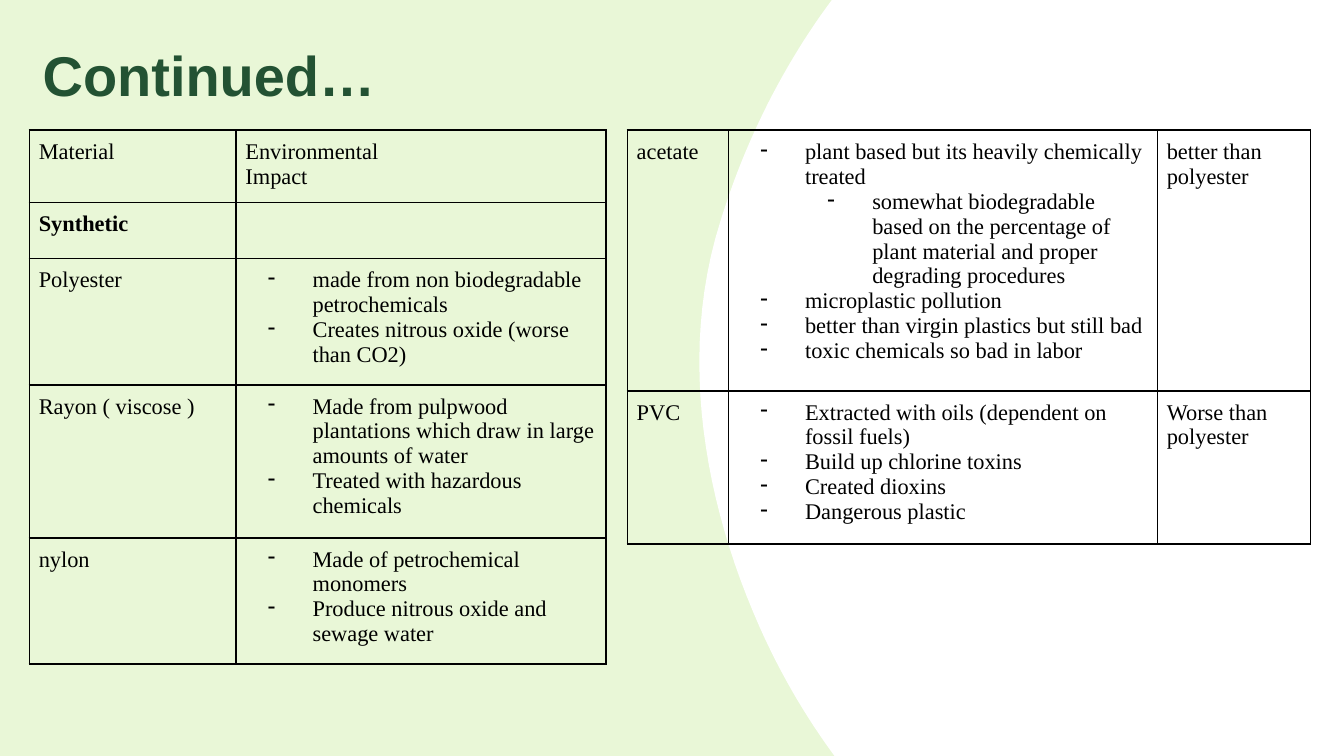
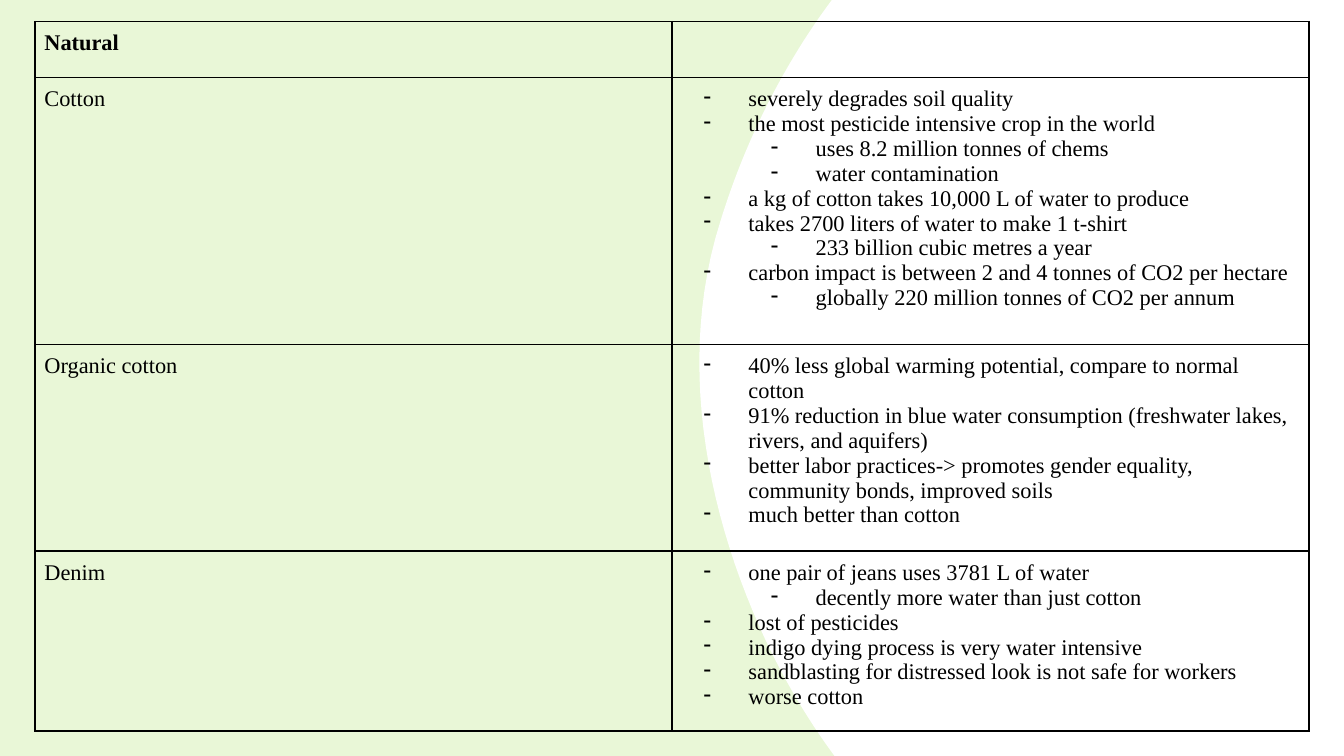
from dataclasses import dataclass

import lxml.etree
import pptx
import pptx.dml.color
import pptx.enum.shapes
import pptx.enum.text
import pptx.oxml.ns
import pptx.util

Pt = pptx.util.Pt
COLOURS = {"page": "E9F7D7", "panel": "FFFFFF", "title": "235233", "ink": "000000"}
TITLE_FONT = "Arial"
TABLE_FONT = "Times New Roman"
PAGE_WIDTH, PAGE_HEIGHT = 720, 405
CELL_INSET = 5
LINE_HEIGHT = 13.3
PANEL_START = (447.1, 405)
PANEL_CURVES = [
    ((432, 384.5), (418.3, 361.4), (406.8, 335.5)),
    ((378, 270.7), (362.9, 191.5), (385.9, 118.8)),
    ((399.6, 74.2), (420.5, 33.8), (445.7, 0)),
]
CURVE_STEPS = 24


@dataclass
class Item:
    text: str
    level: int = 0


@dataclass
class Row:
    lines: float
    cells: list[str | list[Item]]
    bold: bool = False


@dataclass
class Grid:
    left: float
    top: float
    widths: list[float]
    rows: list[Row]


SYNTHETIC = Grid(15.8, 69.8, [110.7, 198.2], [
    Row(2, ["Material", "Environmental\nImpact"]),
    Row(1.5, ["Synthetic", ""], bold=True),
    Row(4, ["Polyester", [
        Item("made from non biodegradable petrochemicals"),
        Item("Creates nitrous oxide (worse than CO2)"),
    ]]),
    Row(5, ["Rayon ( viscose )", [
        Item("Made from pulpwood plantations which draw in large amounts of water"),
        Item("Treated with hazardous chemicals"),
    ]]),
    Row(4, ["nylon", [
        Item("Made of petrochemical monomers"),
        Item("Produce nitrous oxide and sewage water"),
    ]]),
])

PLASTICS = Grid(336.1, 69.8, [54.2, 229.8, 82], [
    Row(9, ["acetate", [
        Item("plant based but its heavily chemically treated"),
        Item("somewhat biodegradable based on the percentage of plant material "
             "and proper degrading procedures", 1),
        Item("microplastic pollution"),
        Item("better than virgin plastics but still bad"),
        Item("toxic chemicals so bad in labor"),
    ], "better than polyester"]),
    Row(5, ["PVC", [
        Item("Extracted with oils (dependent on fossil fuels)"),
        Item("Build up chlorine toxins"),
        Item("Created dioxins"),
        Item("Dangerous plastic"),
    ], "Worse than polyester"]),
])

NATURAL = Grid(18.8, 11.6, [341.2, 341.2], [
    Row(1.5, ["Natural", ""], bold=True),
    Row(10, ["Cotton", [
        Item("severely degrades soil quality"),
        Item("the most pesticide intensive crop in the world"),
        Item("uses 8.2 million tonnes of chems", 1),
        Item("water contamination", 1),
        Item("a kg of cotton takes 10,000 L of water to produce"),
        Item("takes 2700 liters of water to make 1 t-shirt"),
        Item("233 billion cubic metres a year", 1),
        Item("carbon impact is between 2 and 4 tonnes of CO2 per hectare"),
        Item("globally 220 million tonnes of CO2 per annum", 1),
    ]]),
    Row(7, ["Organic cotton", [
        Item("40% less global warming potential, compare to normal cotton"),
        Item("91% reduction in blue water consumption (freshwater lakes, "
             "rivers, and aquifers)"),
        Item("better labor practices-> promotes gender equality, "
             "community bonds, improved soils"),
        Item("much better than cotton"),
    ]]),
    Row(6, ["Denim", [
        Item("one pair of jeans uses 3781 L of water"),
        Item("decently more water than just cotton", 1),
        Item("lost of pesticides"),
        Item("indigo dying process is very water intensive"),
        Item("sandblasting for distressed look is not safe for workers"),
        Item("worse cotton"),
    ]]),
])


def colour(name: str) -> pptx.dml.color.RGBColor:
    return pptx.dml.color.RGBColor.from_string(COLOURS[name])


def add_element(parent, tag: str, **attributes: str):
    return lxml.etree.SubElement(parent, pptx.oxml.ns.qn(tag), attributes)


def style_paragraph(para, font: str, size: float, ink: str, bold: bool) -> None:
    para.font.name = font
    para.font.size = Pt(size)
    para.font.bold = bold
    para.font.color.rgb = colour(ink)


def add_dash(para, level: int) -> None:
    para.level = level
    properties = para._p.get_or_add_pPr()
    properties.set("marL", str(Pt(36 * (level + 1))))
    properties.set("indent", str(Pt(-24)))
    dash_colour = add_element(properties, "a:buClr")
    add_element(dash_colour, "a:srgbClr", val=COLOURS["ink"])
    add_element(properties, "a:buChar", char="-")


def add_borders(cell) -> None:
    properties = cell._tc.get_or_add_tcPr()
    for side in ("a:lnL", "a:lnR", "a:lnT", "a:lnB"):
        line = add_element(properties, side, w=str(Pt(1)))
        fill = add_element(line, "a:solidFill")
        add_element(fill, "a:srgbClr", val=COLOURS["ink"])


def fill_cell(cell, content: str | list[Item], bold: bool) -> None:
    add_borders(cell)
    cell.fill.background()
    cell.margin_left = cell.margin_right = Pt(CELL_INSET)
    cell.margin_top = cell.margin_bottom = Pt(CELL_INSET)
    bulleted = isinstance(content, list)
    items = content if bulleted else [Item(text) for text in content.split("\n")]
    cell.text_frame.text = "\n".join(item.text for item in items)
    for para, item in zip(cell.text_frame.paragraphs, items):
        if bulleted:
            add_dash(para, item.level)
        style_paragraph(para, TABLE_FONT, 12, "ink", bold)


def add_grid(page, grid: Grid) -> None:
    heights = [row.lines * LINE_HEIGHT + 2 * CELL_INSET for row in grid.rows]
    table = page.shapes.add_table(
        len(grid.rows), len(grid.widths), Pt(grid.left), Pt(grid.top),
        Pt(sum(grid.widths)), Pt(sum(heights))).table
    table.first_row = False
    table.horz_banding = False
    for column, width in zip(table.columns, grid.widths):
        column.width = Pt(width)
    for table_row, height, row in zip(table.rows, heights, grid.rows):
        table_row.height = Pt(height)
        for cell, content in zip(table_row.cells, row.cells):
            fill_cell(cell, content, row.bold)


def curve_points() -> list[tuple[float, float]]:
    points = [PANEL_START]
    for first, second, end in PANEL_CURVES:
        start = points[-1]
        for step in range(1, CURVE_STEPS + 1):
            t = step / CURVE_STEPS
            points.append(tuple(
                (1 - t) ** 3 * a + 3 * (1 - t) ** 2 * t * b
                + 3 * (1 - t) * t ** 2 * c + t ** 3 * d
                for a, b, c, d in zip(start, first, second, end)))
    return points


def add_panel(page) -> None:
    builder = page.shapes.build_freeform(Pt(PAGE_WIDTH), 0)
    outline = [(PAGE_WIDTH, PAGE_HEIGHT), *curve_points()]
    builder.add_line_segments([(Pt(x), Pt(y)) for x, y in outline], close=True)
    panel = builder.convert_to_shape()
    panel.shadow.inherit = False
    panel.fill.solid()
    panel.fill.fore_color.rgb = colour("panel")
    panel.line.fill.background()


def add_title(page, text: str) -> None:
    box = page.shapes.add_textbox(Pt(15.8), Pt(10.8), Pt(290.2), Pt(45.4))
    frame = box.text_frame
    frame.word_wrap = True
    frame.vertical_anchor = pptx.enum.text.MSO_ANCHOR.TOP
    frame.margin_left = frame.margin_right = Pt(7.2)
    frame.margin_top = Pt(10.8)
    frame.margin_bottom = 0
    frame.text = text
    style_paragraph(frame.paragraphs[0], TITLE_FONT, 30, "title", True)


def add_page(deck, grids: list[Grid], title: str = "") -> None:
    page = deck.slides.add_slide(deck.slide_layouts[6])
    page.background.fill.solid()
    page.background.fill.fore_color.rgb = colour("page")
    add_panel(page)
    if title:
        add_title(page, title)
    for grid in grids:
        add_grid(page, grid)


def main() -> None:
    deck = pptx.Presentation()
    deck.slide_width = Pt(PAGE_WIDTH)
    deck.slide_height = Pt(PAGE_HEIGHT)
    add_page(deck, [SYNTHETIC, PLASTICS], "Continued…")
    add_page(deck, [NATURAL])
    deck.save("out.pptx")


if __name__ == "__main__":
    main()
